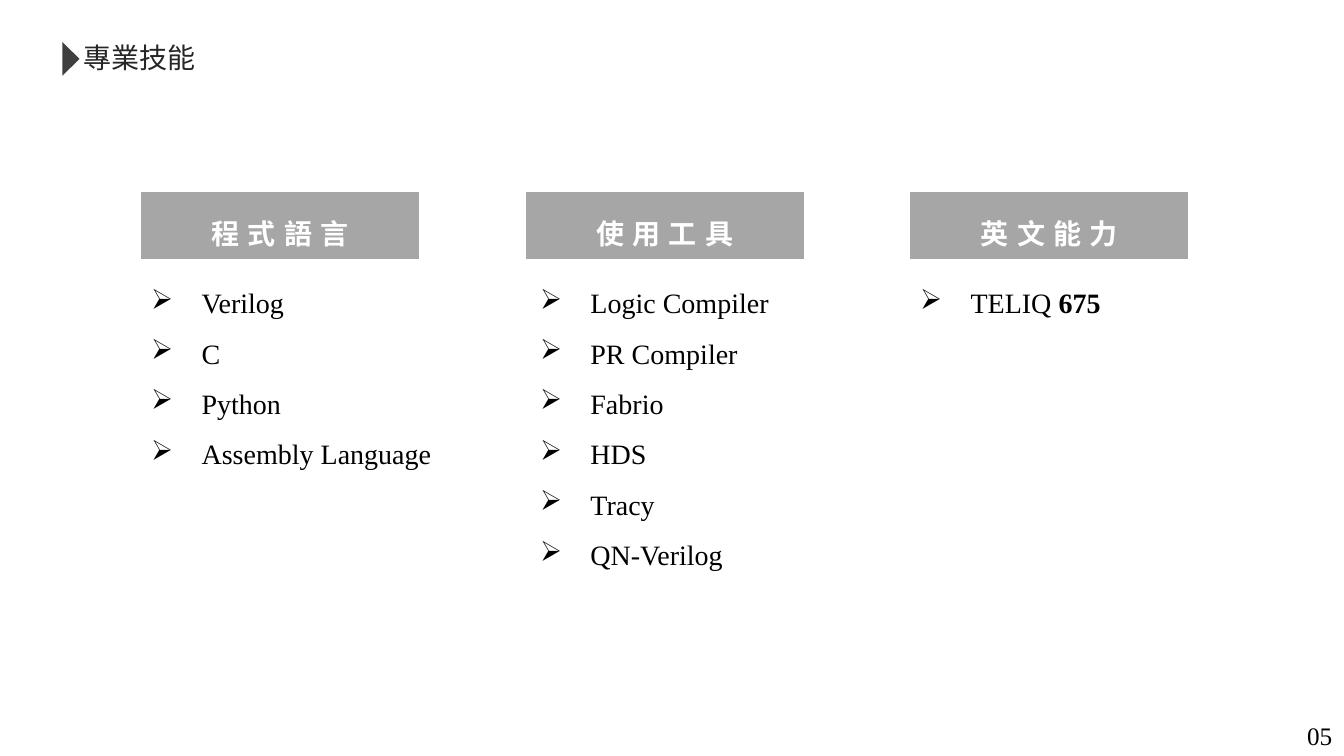
from lxml import etree
from pptx import Presentation
from pptx import util as u
from pptx.dml.color import RGBColor
from pptx.enum import shapes, text
from pptx.oxml import ns

WHITE = RGBColor(0xFF, 0xFF, 0xFF)
BLACK = RGBColor(0x00, 0x00, 0x00)
TITLE_INK = RGBColor(0x26, 0x26, 0x26)
MARKER_GREY = RGBColor(0x3F, 0x3F, 0x3F)
HEADER_GREY = RGBColor(0xA6, 0xA6, 0xA6)

CJK = "Noto Sans CJK SC"
SERIF = "Times New Roman"
SLIDE_SIZE = (33.87, 19.05)
COLUMN_LEFT, COLUMN_STEP = 3.56, 9.69

# heading, list left, list width, list height, indent, level, items as (text, bold) runs
COLUMNS = [
    ("程式語言", 3.56, 8.69, 5.23, 1.27, 0,
     [[("Verilog", False)], [("C", False)], [("Python", False)],
      [("Assembly Language", False)]]),
    ("使用工具", 13.11, 6.99, 7.8, 1.52, 1,
     [[("Logic Compiler", False)], [("PR Compiler", False)], [("Fabrio", False)],
      [("HDS", False)], [("Tracy", False)], [("QN-Verilog", False)]]),
    ("英文能力", 22.94, 6.99, 1.55, 1.27, 0,
     [[("TELIQ ", False), ("675", True)]]),
]


def place(left, top, width, height):
    return [u.Cm(value) for value in (left, top, width, height)]


def add_filled(group, kind, frame, color):
    shape = group.add_shape(kind, *place(*frame))
    shape.shadow.inherit = False
    shape.fill.solid()
    shape.fill.fore_color.rgb = color
    shape.line.fill.background()
    return shape


def add_text_box(group, frame, wrap=True):
    box = group.add_textbox(*place(*frame))
    box.text_frame.word_wrap = wrap
    box.text_frame.auto_size = text.MSO_AUTO_SIZE.SHAPE_TO_FIT_TEXT
    return box


def add_span(para, words, name, color, size=20, bold=False, spacing=0):
    """Add a run; spacing is the letter spacing in points."""
    span = para.add_run()
    span.text = words
    formats = {"name": name, "size": u.Pt(size), "bold": bold}
    for key, value in formats.items():
        setattr(span.font, key, value)
    span.font.color.rgb = color
    properties = span.font._element
    if spacing:
        properties.set("spc", str(spacing * 100))
    etree.SubElement(properties, ns.qn("a:ea")).set("typeface", name)


def add_bullet(para, indent):
    properties = para._p.get_or_add_pPr()
    properties.set("marL", str(u.Cm(indent)))
    properties.set("indent", str(-u.Cm(1.27)))
    etree.SubElement(properties, ns.qn("a:buChar")).set("char", "➢")


def add_title(page):
    group = page.shapes.add_group_shape().shapes
    box = add_text_box(group, (1.85, 0.89, 3.35, 1.11), wrap=False)
    add_span(box.text_frame.paragraphs[0], "專業技能", CJK, TITLE_INK)
    marker = add_filled(group, shapes.MSO_SHAPE.ISOSCELES_TRIANGLE,
                        (1.37, 1.27, 0.84, 0.43), MARKER_GREY)
    marker.rotation = 90


def add_page_number(page):
    box = add_text_box(page.shapes, (32.66, 18.03, 1.2, 1.02))
    para = box.text_frame.paragraphs[0]
    para.alignment = text.PP_ALIGN.CENTER
    add_span(para, "05", SERIF, BLACK, size=18)


def add_heading(page, left, words):
    header = add_filled(page.shapes, shapes.MSO_SHAPE.LINE_CALLOUT_3,
                        (left, 4.83, 7.01, 1.7), HEADER_GREY)
    header.text_frame.word_wrap = True
    header.text_frame.vertical_anchor = text.MSO_ANCHOR.MIDDLE
    para = header.text_frame.paragraphs[0]
    para.alignment = text.PP_ALIGN.CENTER
    para.line_spacing = 1.5
    add_span(para, words, CJK, WHITE, bold=True, spacing=6)


def add_list(page, frame, indent, level, items):
    box = add_text_box(page.shapes, frame)
    for index, spans in enumerate(items):
        para = box.text_frame.add_paragraph() if index else box.text_frame.paragraphs[0]
        add_bullet(para, indent)
        para.level = level
        para.line_spacing = 1.5
        for words, bold in spans:
            add_span(para, words, SERIF, BLACK, bold=bold)


def main():
    deck = Presentation()
    deck.slide_width, deck.slide_height = [u.Cm(side) for side in SLIDE_SIZE]
    page = deck.slides.add_slide(deck.slide_layouts[6])
    add_filled(page.shapes, shapes.MSO_SHAPE.RECTANGLE, (0, 0, *SLIDE_SIZE), WHITE)
    add_title(page)
    add_page_number(page)
    for index, (heading, left, width, height, indent, level, items) in enumerate(COLUMNS):
        add_heading(page, COLUMN_LEFT + index * COLUMN_STEP, heading)
        add_list(page, (left, 6.65, width, height), indent, level, items)
    deck.save("out.pptx")


if __name__ == "__main__":
    main()
